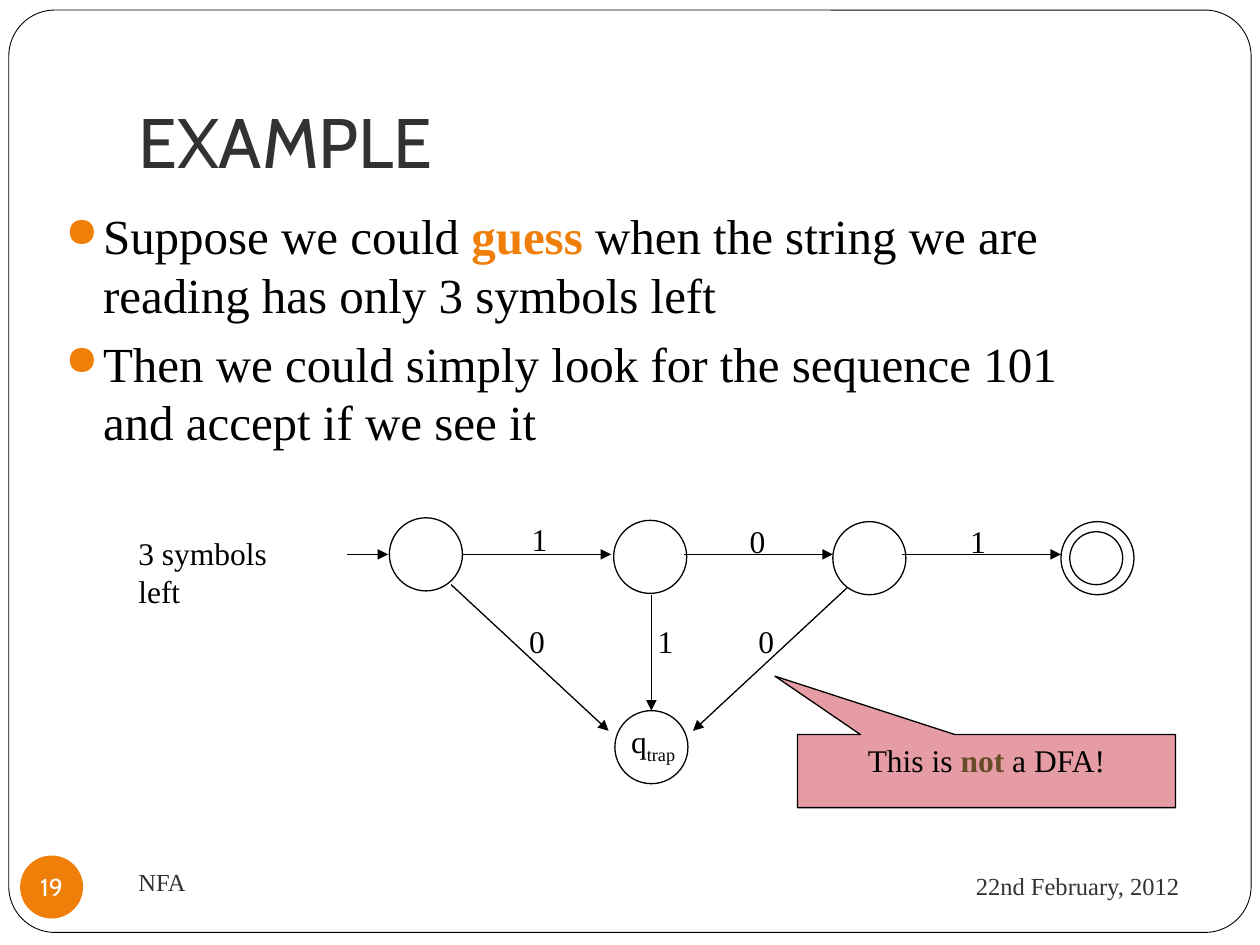
import pptx
import pptx.util
import pptx.dml.color
import pptx.enum.shapes
import pptx.enum.text
import pptx.oxml
import pptx.oxml.ns
from lxml import etree

Inches, Pt = pptx.util.Inches, pptx.util.Pt
SHAPE = pptx.enum.shapes.MSO_SHAPE
ALIGN = pptx.enum.text.PP_ALIGN
ANCHOR = pptx.enum.text.MSO_ANCHOR
SERIF, SANS = "Times New Roman", "Cabin"
BLACK, WHITE, DARK, ORANGE = "000000", "FFFFFF", "323232", "F07F09"
PINK, BROWN = "E69CA4", "674D26"
STATE = 0.58

body = [
    [("Suppose we could ", {}), ("guess", {"color": ORANGE, "bold": True}),
     (" when the string we are reading has only 3 symbols left", {})],
    [("Then we could simply look for the sequence 101\nand accept if we see it", {})],
]
trap_edges = [(3.58, 4.64, 4.83, 5.8), (5.17, 4.72, 5.17, 5.64), (6.75, 4.64, 5.5, 5.8)]
row_edges = [(2.75, 3.08), (3.67, 4.85), (5.43, 6.61), (7.16, 8.42)]
row_y = 4.4
states = [(3.09, 4.11), (4.87, 4.13), (6.61, 4.14), (8.42, 4.14), (4.88, 5.64)]
edge_labels = [("1", 4.12, 4.08), ("0", 5.85, 4.09), ("1", 7.6, 4.09),
               ("0", 4.1, 4.89), ("1", 5.12, 4.89), ("0", 5.92, 4.89)]
callout = [("This is", {}), (" not ", {"color": BROWN, "bold": True}), ("a DFA!", {})]


def rgb(color):
    return pptx.dml.color.RGBColor.from_string(color)


def add_runs(p, runs, size=18, font=SERIF, color=BLACK):
    for text, style in runs:
        for i, part in enumerate(text.split("\n")):
            if i:
                p.add_line_break()
            r = p.add_run()
            r.text = part
            r.font.size = Pt(size)
            r.font.name = font
            r.font.bold = style.get("bold", False)
            r.font.color.rgb = rgb(style.get("color", color))
            if "baseline" in style:
                r.font._element.set("baseline", str(style["baseline"]))


def add_text(s, at, runs, anchor=ANCHOR.TOP, align=ALIGN.LEFT, wrap=True, **style):
    sp = s.shapes.add_textbox(*map(Inches, at))
    tf = sp.text_frame
    tf.word_wrap = wrap
    tf.vertical_anchor = anchor
    tf.paragraphs[0].alignment = align
    add_runs(tf.paragraphs[0], runs, **style)
    return tf


def add_shape(s, kind, at, fill=None, line=0.75):
    sp = s.shapes.add_shape(kind, *map(Inches, at))
    sp.shadow.inherit = False
    if fill:
        sp.fill.solid()
        sp.fill.fore_color.rgb = rgb(fill)
    else:
        sp.fill.background()
    if line:
        sp.line.color.rgb = rgb(BLACK)
        sp.line.width = Pt(line)
    else:
        sp.line.fill.background()
    return sp


def add_arrow(s, ends):
    c = s.shapes.add_connector(pptx.enum.shapes.MSO_CONNECTOR.STRAIGHT, *map(Inches, ends))
    c.line.color.rgb = rgb(BLACK)
    c.line.width = Pt(0.75)
    etree.SubElement(c.line._get_or_add_ln(), pptx.oxml.ns.qn("a:tailEnd"), type="triangle")
    etree.SubElement(c._element.spPr, pptx.oxml.ns.qn("a:effectLst"))


def add_bullet(p):
    pPr = p._p.get_or_add_pPr()
    pPr.set("marL", str(Inches(0.3)))
    pPr.set("indent", str(Inches(-0.3)))
    clr = etree.SubElement(pPr, pptx.oxml.ns.qn("a:buClr"))
    etree.SubElement(clr, pptx.oxml.ns.qn("a:srgbClr"), val=ORANGE)
    etree.SubElement(pPr, pptx.oxml.ns.qn("a:buSzPct"), val="85000")
    etree.SubElement(pPr, pptx.oxml.ns.qn("a:buChar"), char="●")


def main():
    prs = pptx.Presentation()
    prs.slide_width, prs.slide_height = Inches(10), Inches(7.5)
    s = prs.slides.add_slide(prs.slide_layouts[6])

    frame = add_shape(s, SHAPE.ROUNDED_RECTANGLE, (0.07, 0.08, 9.86, 7.32), WHITE, 0.5)
    frame.adjustments[0] = 0.05
    for ends in trap_edges:
        add_arrow(s, ends)

    tf = add_text(s, (1, 0.3, 8.5, 1.25), [("EXAMPLE", {})], ANCHOR.BOTTOM,
                  size=40, font=SANS, color=DARK)
    tf.margin_bottom = Inches(0.1)

    tf = add_text(s, (0.42, 1.58, 9.14, 2.36), [])
    for i, runs in enumerate(body):
        p = tf.add_paragraph() if i else tf.paragraphs[0]
        add_bullet(p)
        if i:
            p.space_before = Pt(5.8)
        add_runs(p, runs, size=28)

    for x, y in states:
        add_shape(s, SHAPE.OVAL, (x, y, STATE, STATE), WHITE)
    add_shape(s, SHAPE.OVAL, (8.49, 4.22, 0.42, 0.42))
    for x1, x2 in row_edges:
        add_arrow(s, (x1, row_y, x2, row_y))

    for text, x, y in edge_labels:
        add_text(s, (x, y, 0.32, 0.4), [(text, {})], wrap=False)
    add_text(s, (4.91, 5.68, 0.59, 0.4), [("q", {}), ("trap", {"baseline": -25000})], wrap=False)
    add_text(s, (1, 4.19, 1.6, 0.4), [("3 symbols\nleft", {})])

    sp = add_shape(s, SHAPE.RECTANGULAR_CALLOUT, (6.33, 5.83, 3, 0.58), PINK)
    sp.adjustments[0], sp.adjustments[1] = -0.56, -1.3
    sp.text_frame.vertical_anchor = ANCHOR.TOP
    sp.text_frame.paragraphs[0].alignment = ALIGN.CENTER
    add_runs(sp.text_frame.paragraphs[0], callout)

    add_text(s, (6.75, 6.77, 2.71, 0.52), [("22nd February, 2012", {})], ANCHOR.MIDDLE,
             ALIGN.RIGHT, size=14, color=DARK)
    add_text(s, (1, 6.75, 4.33, 0.5), [("NFA", {})], ANCHOR.MIDDLE, size=14, color=DARK)

    sp = add_shape(s, SHAPE.OVAL, (0.16, 6.79, 0.5, 0.5), ORANGE, None)
    tf = sp.text_frame
    tf.margin_left = tf.margin_right = tf.margin_top = tf.margin_bottom = 0
    tf.word_wrap = False
    tf.vertical_anchor = ANCHOR.MIDDLE
    tf.paragraphs[0].alignment = ALIGN.CENTER
    add_runs(tf.paragraphs[0], [("19", {})], 14, SANS, WHITE)

    prs.save("out.pptx")


if __name__ == "__main__":
    main()
